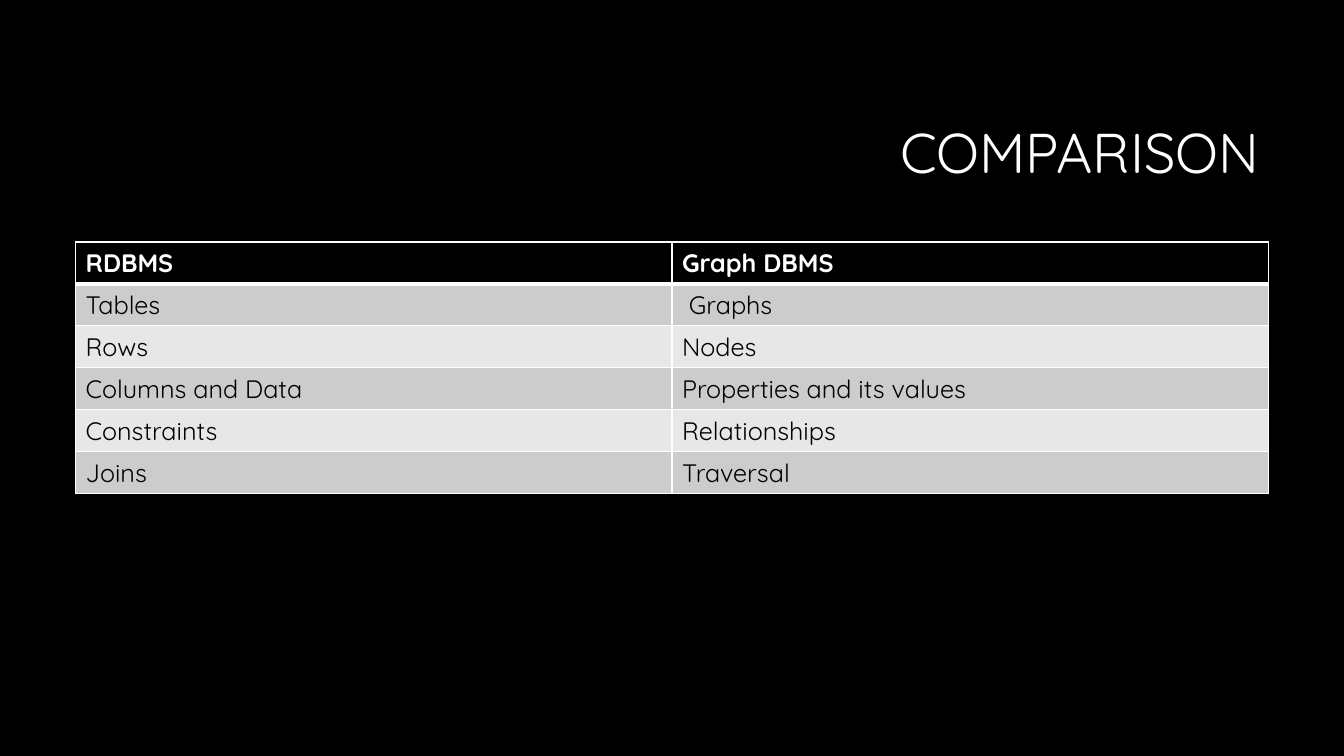
from dataclasses import dataclass

from lxml import etree
from pptx import Presentation
from pptx.dml.color import RGBColor
from pptx.enum.text import MSO_ANCHOR, PP_ALIGN
from pptx.oxml.ns import qn
from pptx.util import Inches, Pt

MIDDLE = MSO_ANCHOR.MIDDLE
RIGHT = PP_ALIGN.RIGHT


@dataclass(frozen=True)
class Theme:
    font: str = "Quicksand"
    black: str = "000000"
    white: str = "FFFFFF"
    bands: tuple = ("CCCCCC", "E7E7E7")
    title_size: int = 40
    body_size: int = 18
    thin_line: int = 1
    header_line: int = 3


theme = Theme()


def add_run(paragraph, text, size, color, bold=False):
    run = paragraph.add_run()
    run.text = text
    run.font.name = theme.font
    run.font.size = Pt(size)
    run.font.bold = bold
    run.font.color.rgb = RGBColor.from_string(color)


def add_border(cell, side, width):
    properties = cell._tc.get_or_add_tcPr()
    line = etree.SubElement(properties, qn(f"a:ln{side}"), w=str(Pt(width)))
    fill = etree.SubElement(line, qn("a:solidFill"))
    etree.SubElement(fill, qn("a:srgbClr"), val=theme.white)


presentation = Presentation()
presentation.slide_width = Inches(13.33)
presentation.slide_height = Inches(7.5)
slide = presentation.slides.add_slide(presentation.slide_layouts[6])
slide.background.fill.solid()
slide.background.fill.fore_color.rgb = RGBColor.from_string(theme.black)

title = slide.shapes.add_textbox(Inches(3.17), Inches(0.84), Inches(9.42), Inches(1.41))
title.text_frame.word_wrap = True
title.text_frame.vertical_anchor = MIDDLE
heading = title.text_frame.paragraphs[0]
heading.alignment = RIGHT
heading.line_spacing = 0.9
add_run(heading, "COMPARISON", theme.title_size, theme.white)

concepts = [
    ("RDBMS", "Graph DBMS"),
    ("Tables", " Graphs"),
    ("Rows", "Nodes"),
    ("Columns and Data", "Properties and its values"),
    ("Constraints", "Relationships"),
    ("Joins", "Traversal"),
]
comparison = slide.shapes.add_table(
    len(concepts), 2, Inches(0.75), Inches(2.4), Inches(11.83), Inches(2.5)
).table

for row, pair in enumerate(concepts):
    is_header = row == 0
    cell_fill = theme.black if is_header else theme.bands[(row - 1) % 2]
    text_color = theme.white if is_header else theme.black
    top = theme.header_line if row == 1 else theme.thin_line
    bottom = theme.header_line if is_header else theme.thin_line
    for column, concept in enumerate(pair):
        cell = comparison.cell(row, column)
        for side, width in zip("LRTB", (theme.thin_line, theme.thin_line, top, bottom)):
            add_border(cell, side, width)
        cell.fill.solid()
        cell.fill.fore_color.rgb = RGBColor.from_string(cell_fill)
        add_run(cell.text_frame.paragraphs[0], concept, theme.body_size, text_color, is_header)

presentation.save("out.pptx")
